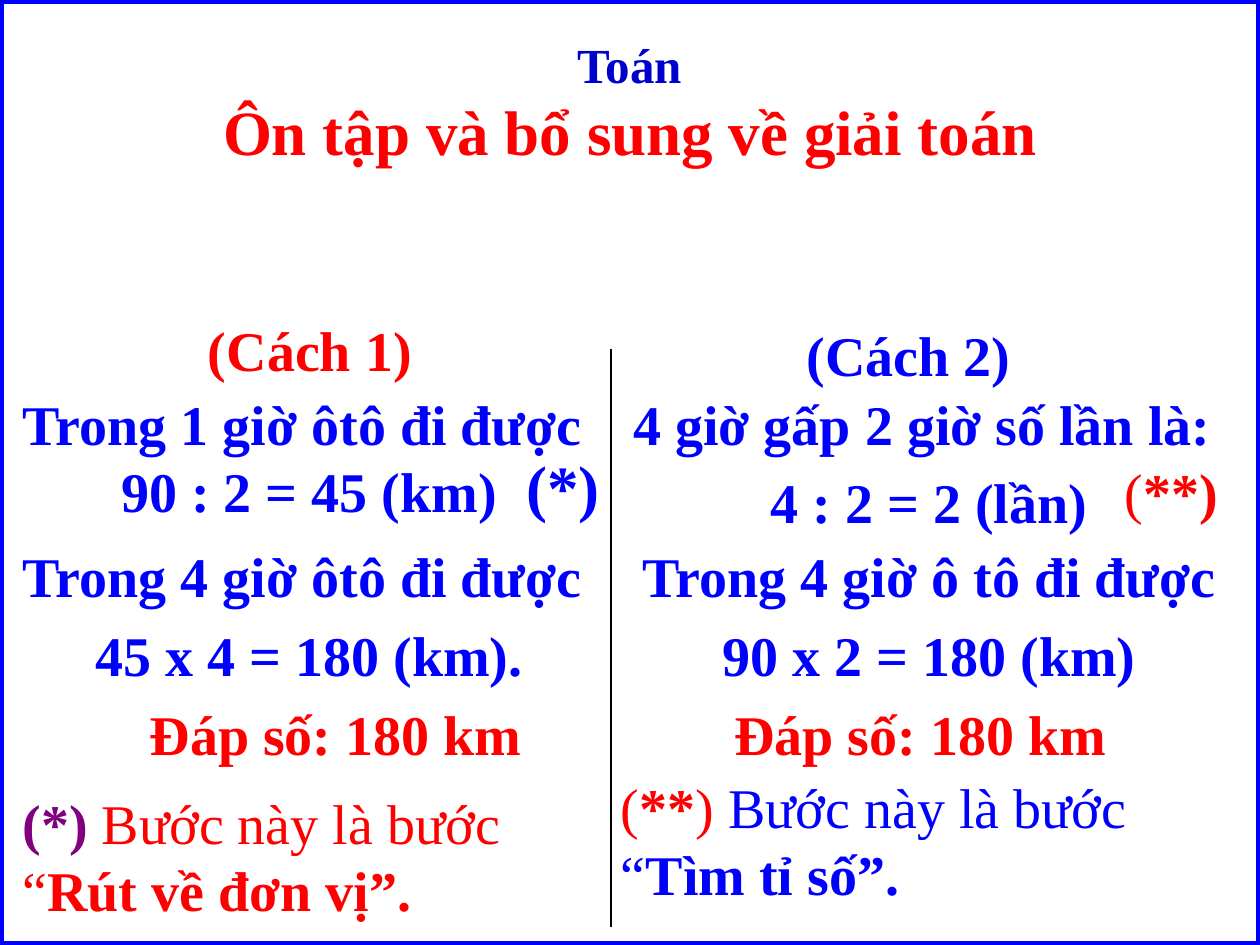
from pptx import Presentation
from pptx.dml.color import RGBColor
from pptx.enum.shapes import MSO_CONNECTOR, MSO_SHAPE
from pptx.enum.text import MSO_ANCHOR, MSO_AUTO_SIZE, PP_ALIGN
from pptx.oxml.ns import qn
from pptx.util import Inches, Pt
from lxml import etree

LEFT, CENTER = PP_ALIGN.LEFT, PP_ALIGN.CENTER
TOP, MIDDLE = MSO_ANCHOR.TOP, MSO_ANCHOR.MIDDLE
FIXED = MSO_AUTO_SIZE.NONE
STRAIGHT, RECTANGLE = MSO_CONNECTOR.STRAIGHT, MSO_SHAPE.RECTANGLE
FONT = "Times New Roman"
BLUE, NAVY, RED, PURPLE, BLACK = "0000FF", "0000CC", "FF0000", "800080", "000000"


def rgb(value):
    return RGBColor.from_string(value)


def write(frame, lines, size=32, align=LEFT, anchor=TOP, gap=0):
    frame.word_wrap = True
    frame.auto_size = FIXED
    frame.vertical_anchor = anchor
    for index, spans in enumerate(lines):
        para = frame.paragraphs[0] if index == 0 else frame.add_paragraph()
        para.alignment = align
        para.space_before = Pt(gap if index else 0)
        for text, color, bold, *own_size in spans:
            span = para.add_run()
            span.text = text
            span.font.name = FONT
            span.font.size = Pt(own_size[0] if own_size else size)
            span.font.bold = bold
            span.font.color.rgb = rgb(color)


deck = Presentation()
deck.slide_width, deck.slide_height = Inches(10), Inches(7.5)
page = deck.slides.add_slide(deck.slide_layouts[5])

title = page.shapes.title
title.left, title.top = Inches(0), Inches(0.22)
title.width, title.height = Inches(10), Inches(1.18)
write(title.text_frame, [
    [("Toán", NAVY, True, 28)],
    [("Ôn tập và bổ sung về giải toán", RED, True, 36)],
], align=CENTER)

centered = {"align": CENTER, "gap": 6.4}
heading = {"align": CENTER, "anchor": MIDDLE}
boxes = [
    (1, 2.38, 2.92, 0.78, [[("(Cách 1)", RED, True)]], heading),
    (-0.09, 3.04, 5.09, 1.54,
     [[("Trong 1 giờ ôtô đi được  90 : 2 = 45 (km)", BLUE, True)]], centered),
    (4.08, 3.5, 0.83, 0.67, [[("(*)", BLUE, True)]], {"size": 36}),
    (-0.09, 4.25, 5.09, 1.42,
     [[("Trong 4 giờ ôtô đi được ", BLUE, True)],
      [("45 x 4 = 180 (km).", BLUE, True)]], centered),
    (0.58, 5.5, 4.17, 0.67, [[("Đáp số: 180 km", RED, True)]], centered),
    (0.08, 6.21, 4.58, 1.21,
     [[("(*) ", PURPLE, True), ("Bước này là bước “", RED, False),
       ("Rút về đơn vị”.", RED, True)]], {}),
    (5.75, 2.42, 2.92, 0.78, [[("(Cách 2)", BLUE, True)]], heading),
    (4.75, 3.04, 5.25, 1.29,
     [[("4 giờ gấp 2 giờ số lần là: ", BLUE, True)],
      [("4 : 2 = 2 (lần)", BLUE, True)]], centered),
    (8.83, 3.58, 1.08, 0.67, [[("(", RED, False), ("**)", RED, True)]], {}),
    (4.97, 4.25, 4.81, 1.33,
     [[("Trong 4 giờ ô tô đi được ", BLUE, True)],
      [("90 x 2 = 180 (km)", BLUE, True)]], centered),
    (5.73, 5.5, 3.96, 0.67, [[("Đáp số: 180 km", RED, True)]], {}),
    (4.83, 6.08, 5.23, 1.33,
     [[("(", RED, False), ("**", RED, True), (") ", RED, False),
       ("Bước này là bước “", BLUE, False), ("Tìm tỉ số”.", BLUE, True)]], {}),
]
for left, top, width, height, lines, style in boxes:
    box = page.shapes.add_textbox(Inches(left), Inches(top), Inches(width), Inches(height))
    write(box.text_frame, lines, **style)

divider = page.shapes.add_connector(
    STRAIGHT, Inches(4.85), Inches(2.77), Inches(4.85), Inches(7.36))
divider.line.color.rgb = rgb(BLACK)
divider.line.width = Pt(0.75)
etree.SubElement(divider._element.spPr, qn("a:effectLst"))

border = page.shapes.add_shape(RECTANGLE, Inches(0), Inches(0), Inches(10), Inches(7.5))
border.shadow.inherit = False
border.fill.background()
border.line.color.rgb = rgb(BLUE)
border.line.width = Pt(4.5)

deck.save("out.pptx")
